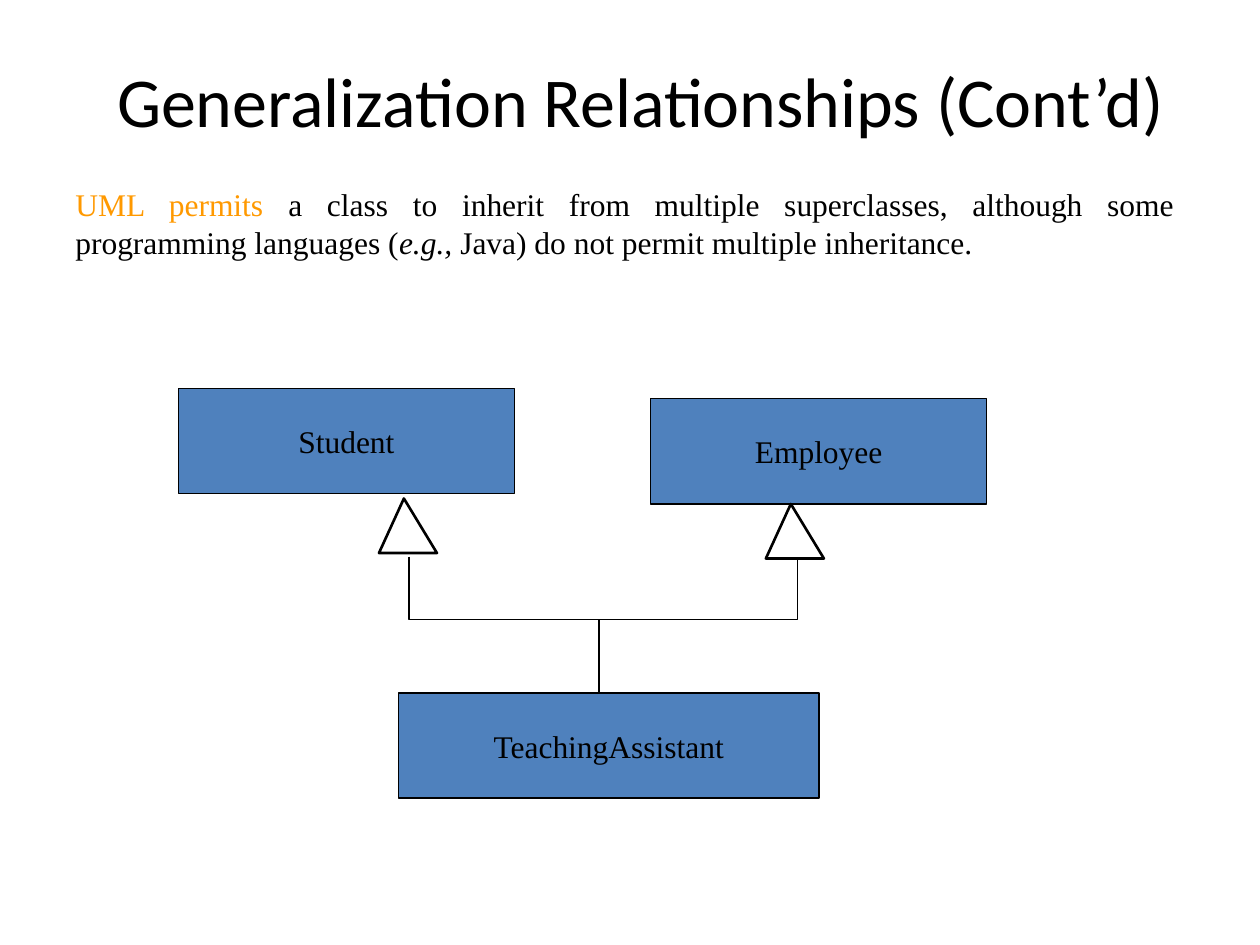
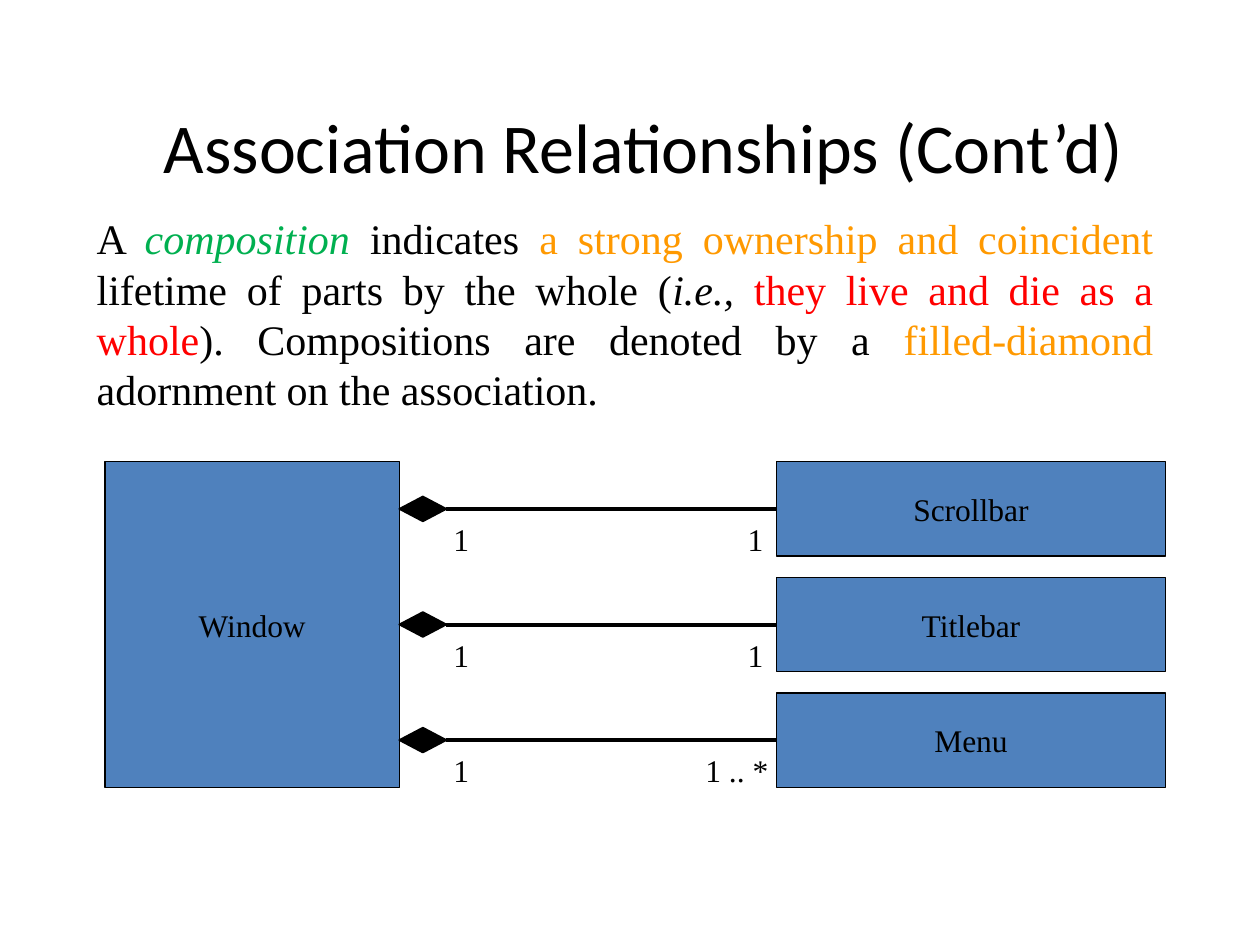
from pptx import Presentation
from pptx.dml.color import RGBColor
from pptx.enum.shapes import MSO_CONNECTOR as CONN, MSO_SHAPE as SHAPE
from pptx.enum.text import MSO_ANCHOR as ANCHOR, PP_ALIGN as ALIGN
from pptx.oxml import parse_xml
from pptx.oxml.ns import nsdecls
from pptx.util import Cm, Pt

BLACK = RGBColor(0x00, 0x00, 0x00)
WHITE = RGBColor(0xFF, 0xFF, 0xFF)
BLUE = RGBColor(0x4F, 0x81, 0xBD)
ORANGE = RGBColor(0xFF, 0x99, 0x00)
GREEN = RGBColor(0x00, 0xB0, 0x50)
RED = RGBColor(0xFF, 0x00, 0x00)
TITLE_FONT = "Calibri"
BODY_FONT = "Times New Roman"


def write(tf, *runs, size=18, font=BODY_FONT, align=ALIGN.LEFT,
          anchor=ANCHOR.TOP, wrap=True):
    """Fill a text frame with runs, each a string or (string, colour, italic)."""
    tf.word_wrap = wrap
    tf.vertical_anchor = anchor
    p = tf.paragraphs[0]
    p.alignment = align
    for run in runs:
        text, color, italic = (run, BLACK, False) if isinstance(run, str) else run
        r = p.add_run()
        r.text = text
        r.font.name = font
        r.font.size = Pt(size)
        r.font.color.rgb = color
        r.font.italic = italic


def add_text(slide, box, *runs, **fmt):
    sp = slide.shapes.add_textbox(*map(Cm, box))
    write(sp.text_frame, *runs, **fmt)
    return sp


def add_title(slide, box, text):
    add_text(slide, box, text, size=40, font=TITLE_FONT,
             align=ALIGN.CENTER, anchor=ANCHOR.MIDDLE)


def style(sp, fill, width):
    sp.shadow.inherit = False
    if fill is None:
        sp.fill.background()
    else:
        sp.fill.solid()
        sp.fill.fore_color.rgb = fill
    sp.line.color.rgb = BLACK
    sp.line.width = Pt(width)


def add_preset(slide, kind, box, fill, width):
    sp = slide.shapes.add_shape(kind, *map(Cm, box))
    style(sp, fill, width)
    return sp


def add_class(slide, box, name):
    sp = add_preset(slide, SHAPE.RECTANGLE, box, BLUE, 0.75)
    write(sp.text_frame, name, align=ALIGN.CENTER, anchor=ANCHOR.MIDDLE, wrap=False)
    return sp


def add_line(slide, x1, y1, x2, y2, width):
    line = slide.shapes.add_connector(CONN.STRAIGHT, Cm(x1), Cm(y1), Cm(x2), Cm(y2))
    line.line.color.rgb = BLACK
    line.line.width = Pt(width)
    line._element.spPr.append(parse_xml(f"<a:effectLst {nsdecls('a')}/>"))
    return line


def add_inheritance_arrow(slide, x, y):
    sp = add_preset(slide, SHAPE.ISOSCELES_TRIANGLE, (x, y, 1.17, 1.1), WHITE, 1.5)
    sp.adjustments[0] = 0.43


def add_bracket(slide, x, y, w, h):
    """Draw the open-topped line that gathers both superclasses."""
    fb = slide.shapes.build_freeform(Cm(x), Cm(y))
    fb.add_line_segments([(Cm(x), Cm(y + h)), (Cm(x + w), Cm(y + h)),
                          (Cm(x + w), Cm(y))], close=False)
    style(fb.convert_to_shape(), None, 1)


def inheritance_diagram(slide, x, y):
    add_class(slide, (x, y, 6.77, 2.12), "Student")
    add_line(slide, x + 8.47, y + 4.66, x + 8.47, y + 6.14, 1)
    add_class(slide, (x + 4.44, y + 6.14, 8.47, 2.12), "TeachingAssistant")
    add_inheritance_arrow(slide, x + 4.04, y + 2.22)
    add_class(slide, (x + 9.52, y + 0.21, 6.77, 2.12), "Employee")
    add_inheritance_arrow(slide, x + 11.84, y + 2.33)
    add_bracket(slide, x + 4.65, y + 3.39, 7.83, 1.27)


def composition_row(slide, x, y, h, part, label, label_x, label_w):
    """Join a part to the whole, whose right side is at x."""
    mid = y + h / 2
    line = add_line(slide, x + 0.95, mid, x + 7.61, mid, 2.25)
    add_preset(slide, SHAPE.DIAMOND, (x, mid - 0.25, 0.95, 0.5), BLACK, 1)
    sp = add_class(slide, (x + 7.61, y, 7.83, h), part)
    line.end_connect(sp, 1)
    add_text(slide, (x + 0.84, y + 1.05, 0.85, 1.02), "1")
    add_text(slide, (x + label_x, y + 1.05, label_w, 1.02), label)


def composition_diagram(slide, x, y):
    whole_w, part_h, gap = 5.93, 1.9, 0.43
    parts = [("Scrollbar", "1", 6.77, 0.85),
             ("Titlebar", "1", 6.77, 0.85),
             ("Menu", "1 .. *", 5.92, 2.12)]
    height = len(parts) * (part_h + gap) - gap
    add_class(slide, (x, y, whole_w, height), "Window")
    for i, part in enumerate(parts):
        composition_row(slide, x + whole_w, y + i * (part_h + gap), part_h, *part)


def generalization_slide(slide):
    add_title(slide, (0, 1.27, 25.83, 1.47), "Generalization Relationships (Cont’d)")
    add_text(slide, (1.27, 3.6, 22.66, 1.78),
             ("UML permits ", ORANGE, False),
             "a class to inherit from multiple superclasses, although some "
             "programming languages (",
             ("e.g.,", BLACK, True),
             " Java) do not permit multiple inheritance.",
             align=ALIGN.JUSTIFY)
    inheritance_diagram(slide, 3.6, 7.83)


def association_slide(slide):
    add_title(slide, (2.33, 2.33, 21.29, 1.2), "Association Relationships (Cont’d)")
    sp = add_text(slide, (1.7, 3.39, 21.8, 5.08),
                  "A ",
                  ("composition ", GREEN, True),
                  "indicates ",
                  ("a strong ownership and coincident ", ORANGE, False),
                  "lifetime of parts by the whole (",
                  ("i.e., ", BLACK, True),
                  ("they live and die as a whole", RED, False),
                  "). Compositions are denoted by a ",
                  ("filled-diamond", ORANGE, False),
                  " adornment on the association.",
                  size=24, align=ALIGN.JUSTIFY)
    sp.text_frame.margin_top = Cm(0.9)
    composition_diagram(slide, 2.12, 9.31)


def main():
    prs = Presentation()
    prs.slide_width, prs.slide_height = Cm(25.4), Cm(19.05)
    for build in (generalization_slide, association_slide):
        build(prs.slides.add_slide(prs.slide_layouts[6]))
    prs.save("out.pptx")


if __name__ == "__main__":
    main()
